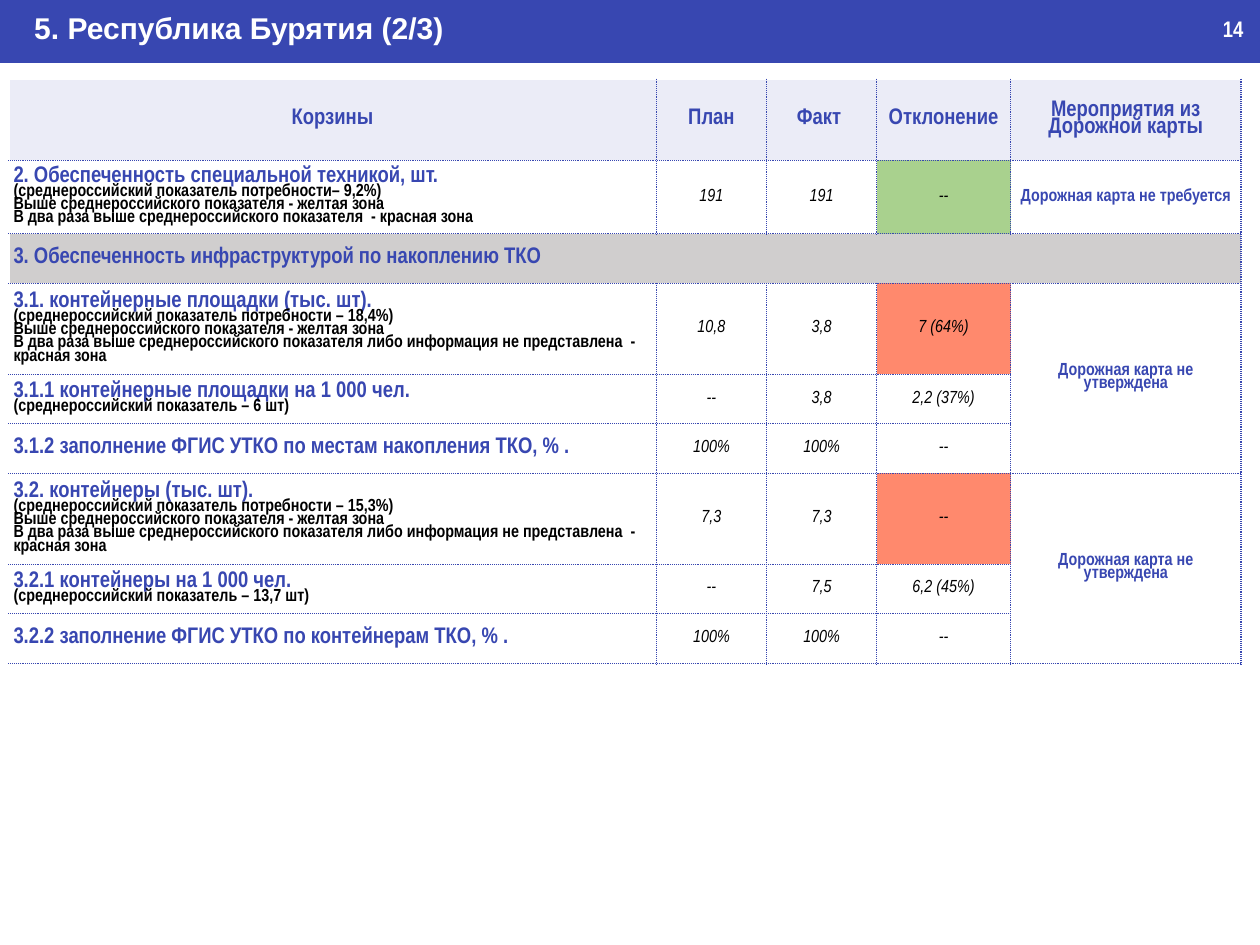
from lxml import etree
from pptx import Presentation
from pptx.dml.color import RGBColor
from pptx.enum.shapes import MSO_SHAPE
from pptx.enum.text import MSO_ANCHOR, MSO_AUTO_SIZE, PP_ALIGN
from pptx.oxml.ns import qn
from pptx.util import Inches, Pt

RECT = MSO_SHAPE.RECTANGLE
MIDDLE, TOP = MSO_ANCHOR.MIDDLE, MSO_ANCHOR.TOP
LEFT, CENTER = PP_ALIGN.LEFT, PP_ALIGN.CENTER
NO_FIT = MSO_AUTO_SIZE.NONE

BLUE, WHITE, BLACK = "3847B1", "FFFFFF", "000000"
PALE, GRAY, GREEN, RED = "EBECF7", "D0CECE", "A9D18E", "FF896D"
NARROW = "Arial Narrow"

TITLE, PAGE = "5. Республика Бурятия (2/3)", "14"
HEADS = ["Корзины", "План", "Факт ", "Отклонение", "Мероприятия из Дорожной карты"]
ABOVE = "Выше среднероссийского показателя - желтая зона"
TWICE = "В два раза выше среднероссийского показателя "
NO_DATA = TWICE + "либо информация не представлена  - красная зона"
NO_MAP = "Дорожная карта не утверждена"

# name lines, plan, fact, gap, road map, gap fill, row height
ROWS = [
    (["2. Обеспеченность специальной техникой, шт.",
      "(среднероссийский показатель потребности– 9,2%)", ABOVE, TWICE + " - красная зона"],
     "191", "191", "--", "Дорожная карта не требуется", GREEN, 0.82),
    (["3. Обеспеченность инфраструктурой по накоплению ТКО"], "", "", "", "", GRAY, 0.55),
    (["3.1. контейнерные площадки (тыс. шт).",
      "(среднероссийский показатель потребности – 18,4%)", ABOVE, NO_DATA],
     "10,8", "3,8", "7 (64%)", NO_MAP, RED, 1.01),
    (["3.1.1 контейнерные площадки на 1 000 чел.", "(среднероссийский показатель – 6 шт)"],
     "--", "3,8", "2,2 (37%)", "", WHITE, 0.55),
    (["3.1.2 заполнение ФГИС УТКО по местам накопления ТКО, % ."],
     "100%", "100%", "--", "", WHITE, 0.55),
    (["3.2. контейнеры (тыс. шт).",
      "(среднероссийский показатель потребности – 15,3%)", ABOVE, NO_DATA],
     "7,3", "7,3", "--", NO_MAP, RED, 1.01),
    (["3.2.1 контейнеры на 1 000 чел.", "(среднероссийский показатель – 13,7 шт)"],
     "--", "7,5", "6,2 (45%)", "", WHITE, 0.55),
    (["3.2.2 заполнение ФГИС УТКО по контейнерам ТКО, % ."],
     "100%", "100%", "--", "", WHITE, 0.55),
]
COLS = [7.19, 1.23, 1.22, 1.49, 2.56]
HEAD_H = 0.9
MERGES = [((2, 0), (2, 4)), ((3, 4), (5, 4)), ((6, 4), (8, 4))]


def paint(thing, color):
    thing.fill.solid()
    thing.fill.fore_color.rgb = RGBColor.from_string(color)


def write(frame, lines, size=14, color=BLACK, font=NARROW, bold=True,
          italic=False, align=LEFT, space=None, lead=None):
    """Fill a text frame; lead is the (size, color) of the first line."""
    for i, line in enumerate(lines):
        para = frame.paragraphs[0] if i == 0 else frame.add_paragraph()
        para.alignment, para.line_spacing = align, space
        run = para.add_run()
        run.text = line
        pts, tint = lead if lead and i == 0 else (size, color)
        face = run.font
        face.size, face.name, face.bold, face.italic = Pt(pts), font, bold, italic
        face.color.rgb = RGBColor.from_string(tint)


def rule(cell, sides):
    props = cell._tc.get_or_add_tcPr()
    for side in sides:
        line = etree.SubElement(props, qn("a:ln" + side), w=str(Pt(1)))
        solid = etree.SubElement(line, qn("a:solidFill"))
        etree.SubElement(solid, qn("a:srgbClr"), val=BLUE)
        etree.SubElement(line, qn("a:prstDash"), val="sysDot")


def put(cell, lines, fill, sides, **form):
    rule(cell, sides)
    paint(cell, fill)
    cell.vertical_anchor = MIDDLE
    cell.margin_left = cell.margin_right = Inches(0.05)
    cell.margin_top = cell.margin_bottom = Inches(0.02)
    write(cell.text_frame, lines, space=0.8, **form)


def fill_table(table):
    table.first_row = table.horz_banding = False
    for col, width in zip(table.columns, COLS):
        col.width = Inches(width)
    for row, height in zip(table.rows, [HEAD_H] + [item[-1] for item in ROWS]):
        row.height = Inches(height)
    for start, end in MERGES:
        table.cell(*start).merge(table.cell(*end))
    for c, head in enumerate(HEADS):
        put(table.cell(0, c), [head], PALE, "LRB" if c else "RB",
            size=18, color=BLUE, align=CENTER)
    for r, (name, plan, fact, gap, road, tint, _) in enumerate(ROWS, 1):
        put(table.cell(r, 0), name, GRAY if tint == GRAY else WHITE, "RTB", lead=(18, BLUE))
        for c, value in enumerate([plan, fact, gap, road], 1):
            last = c == 4
            put(table.cell(r, c), [value] if value else [], tint if c == 3 else WHITE,
                "LRTB", color=BLUE if last else BLACK, bold=last,
                italic=not last, align=CENTER)


def main():
    deck = Presentation()
    deck.slide_width, deck.slide_height = Inches(14), Inches(10.5)
    slide = deck.slides.add_slide(deck.slide_layouts[5])
    shapes = slide.shapes

    title = shapes.title
    bar = shapes.add_shape(RECT, 0, 0, deck.slide_width, Inches(0.7))
    bar.shadow.inherit = False
    paint(bar, BLUE)
    bar.line.fill.background()
    title._element.addprevious(bar._element)

    title.left, title.top = Inches(-0.01), Inches(0.06)
    title.width, title.height = Inches(13.99), Inches(0.5)
    frame = title.text_frame
    frame.auto_size, frame.vertical_anchor = NO_FIT, TOP
    frame.margin_left = Inches(0.39)
    write(frame, [TITLE], size=24, color=WHITE, font="Arial")

    high = HEAD_H + sum(item[-1] for item in ROWS)
    grid = shapes.add_table(len(ROWS) + 1, len(COLS), Inches(0.1), Inches(0.88),
                            Inches(sum(COLS)), Inches(high))
    fill_table(grid.table)

    page = shapes.add_textbox(Inches(13.49), Inches(0.12), Inches(0.49), Inches(0.4))
    page.text_frame.word_wrap = True
    write(page.text_frame, [PAGE], size=18, color=WHITE)
    deck.save("out.pptx")


if __name__ == "__main__":
    main()
